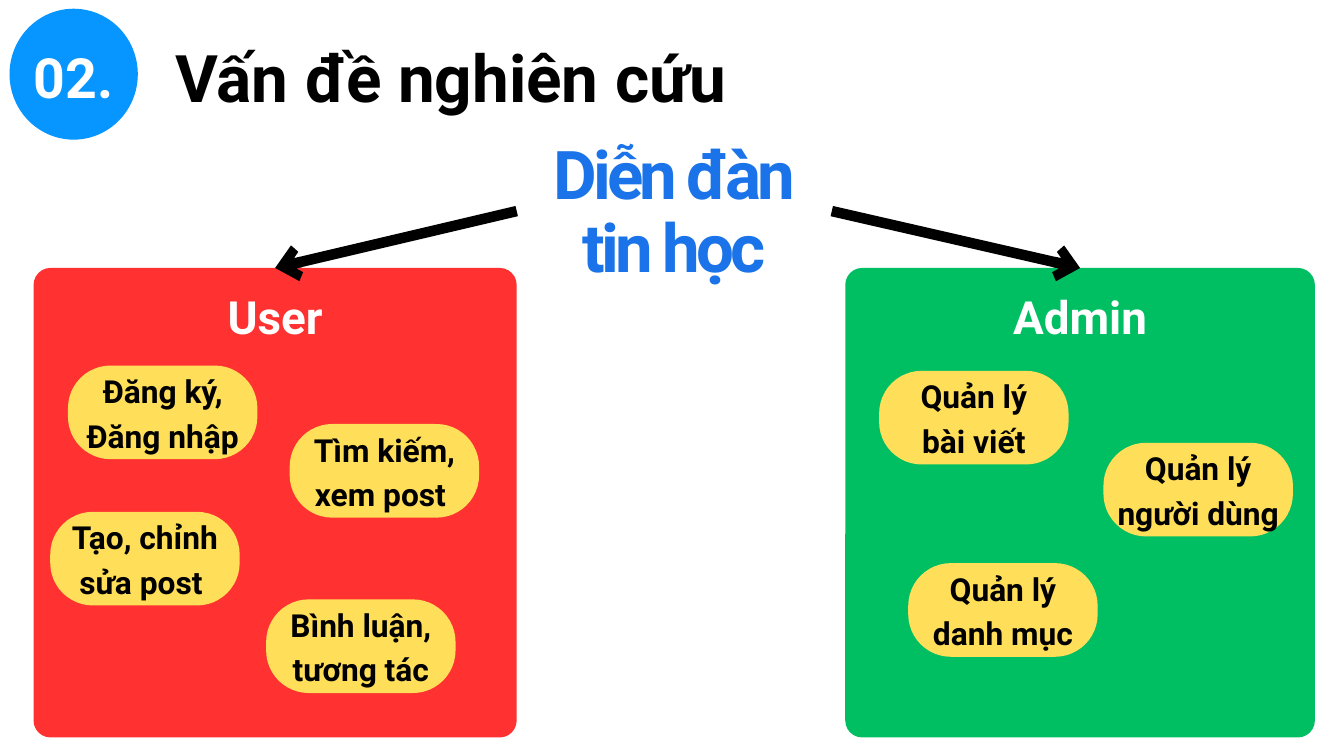
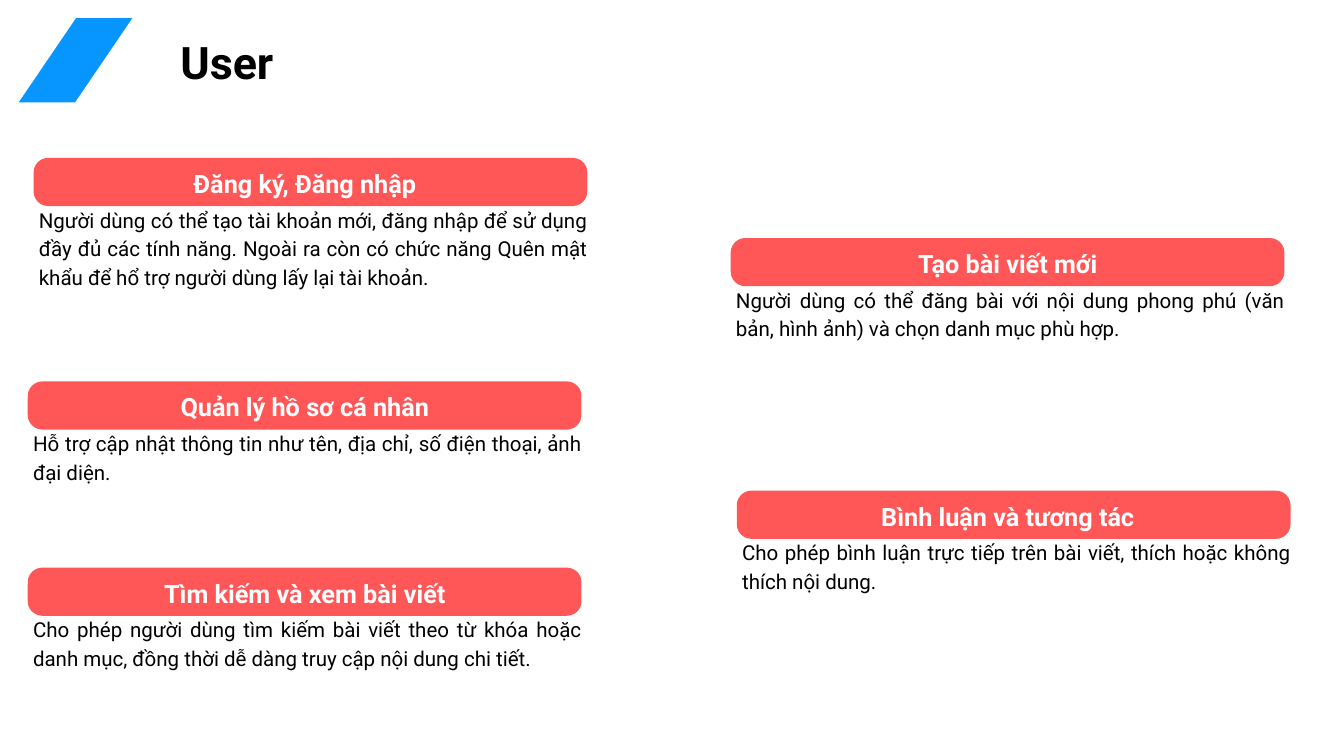
"""Builds two slides on the parts of a forum: its roles and its user features."""
from dataclasses import dataclass

from lxml import etree
from pptx import Presentation, util as u
from pptx.dml.color import RGBColor
from pptx.enum import shapes, text
from pptx.oxml.ns import qn


@dataclass(frozen=True)
class Style:
    face: str = "Roboto"
    black: str = "000000"
    white: str = "FFFFFF"
    blue: str = "0795FF"
    link: str = "1A73E8"
    red: str = "FF3131"
    green: str = "00BF63"
    gold: str = "FFDE59"
    coral: str = "FF5757"
    title: tuple = (70.3, 98.5)
    badge: tuple = (59.4, 83.1)
    topic: tuple = (72, 77.8)
    role: tuple = (49, 68.6)
    task: tuple = (34, 47.6)
    page: tuple = (48, 67.2)
    head: tuple = (27, 37.8)
    body: tuple = (22, 30.8)


LOOK = Style()
KIND = shapes.MSO_SHAPE
ALIGN = text.PP_ALIGN

TOPIC = ["Diễn đàn", "tin học"]
TOPIC_BOX = (19.53, 5.31, 11.91, 5.54)
PANEL_TOP, PANEL_SIZE = 10.13, (18.26, 17.75)
PILL = (7.16, 3.54)
BAR = (20.93, 1.82)

ROLES = [
    ("User", 1.27, 18.26, LOOK.red, [
        ("Đăng ký, Đăng nhập ", 2.57, 13.82, 5.84),
        ("Tìm kiếm, xem post ", 10.95, 16.03, 5.84),
        ("Tạo, chỉnh sửa post ", 1.9, 19.35, 5.84),
        ("Bình luận, tương tác", 10.06, 22.66, 5.84),
    ]),
    ("Admin", 31.95, 17.75, LOOK.green, [
        ("Quản lý bài viết", 33.23, 14.02, 4.98),
        ("Quản lý người dùng", 41.71, 16.74, 6.3),
        ("Quản lý danh mục", 34.33, 21.29, 6.3),
    ]),
]

COLUMNS = [
    (11.52, [
        ("Đăng ký, Đăng nhập", 1.27, 5.97, 3,
         "Người dùng có thể tạo tài khoản mới, đăng nhập để sử dụng đầy đủ các tính năng. "
         "Ngoài ra còn có chức năng Quên mật khẩu để hổ trợ người dùng lấy lại tài khoản."),
        ("Quản lý hồ sơ cá nhân", 1.05, 14.42, 2,
         "Hỗ trợ cập nhật thông tin như tên, địa chỉ, số điện thoại, ảnh đại diện."),
        ("Tìm kiếm và xem bài viết", 1.05, 21.46, 2,
         "Cho phép người dùng tìm kiếm bài viết theo từ khóa hoặc danh mục, "
         "đồng thời dễ dàng truy cập nội dung chi tiết."),
    ]),
    (38.09, [
        ("Tạo bài viết mới", 27.62, 9, 2,
         "Người dùng có thể đăng bài với nội dung phong phú (văn bản, hình ảnh) "
         "và chọn danh mục phù hợp."),
        ("Bình luận và tương tác", 27.85, 18.55, 2,
         "Cho phép bình luận trực tiếp trên bài viết, thích hoặc không thích nội dung."),
    ]),
]


def cm(box):
    return [u.Cm(side) for side in box]


def fill_text(frame, lines, size, tint, align, bold=True):
    frame.word_wrap = True
    frame.auto_size = text.MSO_AUTO_SIZE.NONE
    frame.vertical_anchor = text.MSO_ANCHOR.TOP
    frame.margin_left = frame.margin_right = frame.margin_top = frame.margin_bottom = 0
    frame.text = "\n".join(lines)
    for para in frame.paragraphs:
        para.alignment = align
        para.line_spacing = u.Pt(size[1])
        font = para.font
        font.name, font.size, font.bold = LOOK.face, u.Pt(size[0]), bold
        font.color.rgb = RGBColor.from_string(tint)


def write(slide, box, lines, size, tint, align=ALIGN.CENTER, bold=True):
    frame = slide.shapes.add_textbox(*cm(box)).text_frame
    fill_text(frame, lines, size, tint, align, bold)
    return frame


def draw(slide, kind, box, tint, adjust=None):
    shape = slide.shapes.add_shape(kind, *cm(box))
    shape.shadow.inherit = False
    shape.fill.solid()
    shape.fill.fore_color.rgb = RGBColor.from_string(tint)
    shape.line.fill.background()
    if adjust is not None:
        shape.adjustments[0] = adjust


def draw_round(slide, box, tint, radius):
    draw(slide, KIND.ROUNDED_RECTANGLE, box, tint, radius / min(box[2:]))


def draw_arrow(slide, start, end):
    arrow = slide.shapes.add_connector(shapes.MSO_CONNECTOR.STRAIGHT, *cm(start + end))
    arrow.line.width = u.Pt(11.25)
    arrow.line.color.rgb = RGBColor.from_string(LOOK.black)
    etree.SubElement(arrow.line._get_or_add_ln(), qn("a:tailEnd"), type="arrow", w="med", len="sm")
    etree.SubElement(arrow._element.spPr, qn("a:effectLst"))


def add_slide(deck, title, box, size, align):
    slide = deck.slides.add_slide(deck.slide_layouts[5])
    head = slide.shapes.title
    head.left, head.top, head.width, head.height = cm(box)
    fill_text(head.text_frame, [title], size, LOOK.black, align)
    return slide


def add_roles(deck):
    slide = add_slide(deck, "Vấn đề nghiên cứu", (6.63, 0.91, 22.5, 3.38), LOOK.title, ALIGN.LEFT)
    draw(slide, KIND.OVAL, (0.36, 0.33, 4.85, 4.95), LOOK.blue)
    write(slide, (0.61, 1.22, 4.34, 2.84), ["02."], LOOK.badge, LOOK.white)
    topic = write(slide, TOPIC_BOX, TOPIC, LOOK.topic, LOOK.link)
    for para in topic.paragraphs:
        para._p.pPr.find(qn("a:defRPr")).set("spc", "-410")

    left, _, width, _ = TOPIC_BOX
    for (role, x, wide, tint, tasks), edge in zip(ROLES, (left, left + width)):
        draw_round(slide, (x, PANEL_TOP, wide, PANEL_SIZE[1]), tint, 0.64)
        draw_arrow(slide, (edge, 7.98), (x + wide / 2, PANEL_TOP))
        write(slide, (x, PANEL_TOP + 0.44, wide, 2.36), [role], LOOK.role, LOOK.white)
        for task, px, py, span in tasks:
            draw_round(slide, (px, py, *PILL), LOOK.gold, 1.61)
            inset = (PILL[0] - span) / 2
            write(slide, (px + inset, py, span, 3.3), [task], LOOK.task, LOOK.black)


def add_features(deck):
    slide = add_slide(deck, "User", (6.43, 0.97, 4.29, 2.21), LOOK.page, ALIGN.CENTER)
    draw(slide, KIND.PARALLELOGRAM, (0.71, 0.69, 4.29, 3.18), LOOK.blue, 0.68)
    for mid, cards in COLUMNS:
        for head, x, y, rows, body in cards:
            draw_round(slide, (x, y, *BAR), LOOK.coral, 0.55)
            write(slide, (mid - 5.5, y + 0.2, 11, 1.3), [head], LOOK.head, LOOK.white)
            write(slide, (x + 0.2, y + 1.72, 20.73, rows * 1.08), [body],
                  LOOK.body, LOOK.black, ALIGN.JUSTIFY, False)


def main():
    deck = Presentation()
    deck.slide_width, deck.slide_height = cm((50.8, 28.58))
    add_roles(deck)
    add_features(deck)
    deck.save("out.pptx")


if __name__ == "__main__":
    main()
